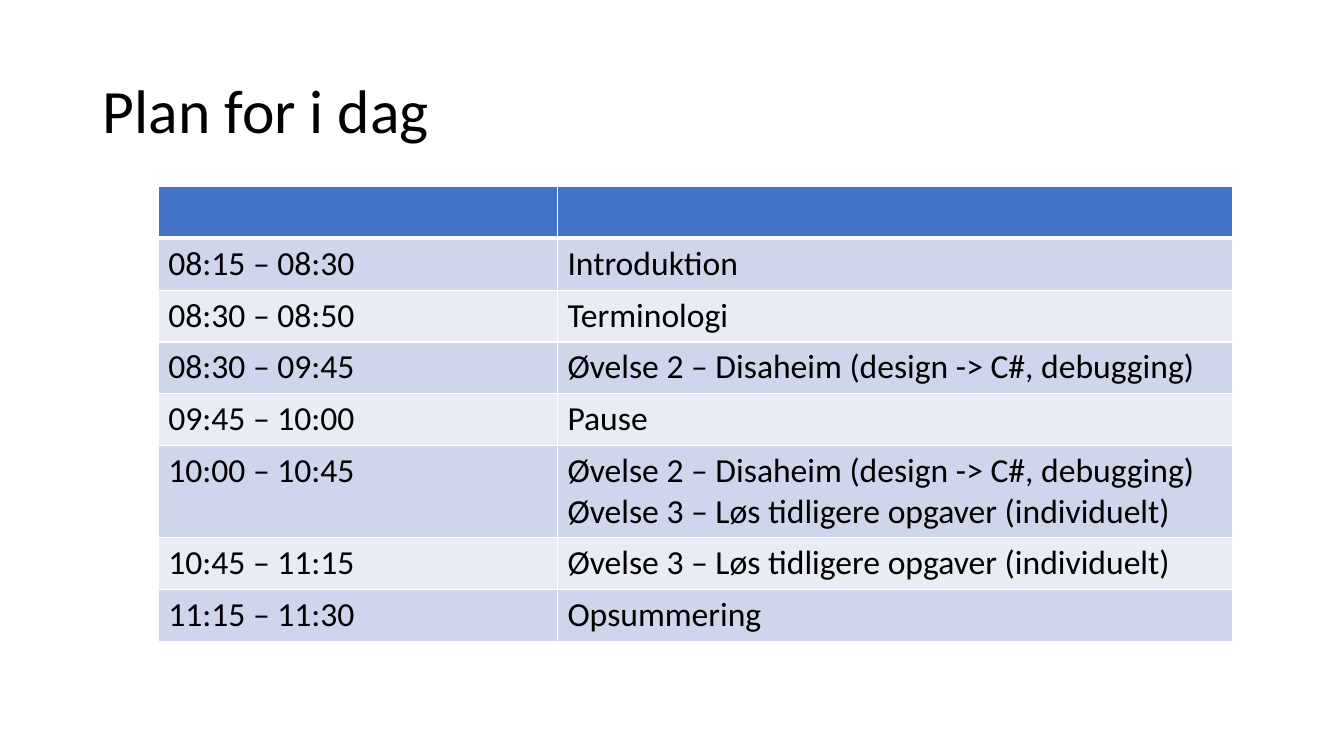
import pptx
import pptx.dml.color
import pptx.enum.text
import pptx.oxml
import pptx.oxml.ns
import pptx.util

TITLE_ONLY_LAYOUT = 5
COLUMN_SHARES = (29.7, 50.25)
TABLE_HEIGHT = 60.13
DOUBLE_ROW = 12.13
AGENDA = [
    ("", ""),
    ("08:15 – 08:30", "Introduktion"),
    ("08:30 – 08:50", "Terminologi"),
    ("08:30 – 09:45", "Øvelse 2 – Disaheim (design -> C#, debugging)"),
    ("09:45 – 10:00", "Pause"),
    ("10:00 – 10:45", "Øvelse 2 – Disaheim (design -> C#, debugging)\n"
                      "Øvelse 3 – Løs tidligere opgaver (individuelt)"),
    ("10:45 – 11:15", "Øvelse 3 – Løs tidligere opgaver (individuelt)"),
    ("11:15 – 11:30", "Opsummering"),
]


def color(value):
    return pptx.dml.color.RGBColor.from_string(value)


class AgendaSlide:
    """Holds the style and the slide; lengths are percentages of the slide size."""

    font_name = "Calibri"
    text_color = "000000"
    header_fill = "4472C4"
    band_fills = ("E9EBF5", "CFD5EA")
    border_color = "FFFFFF"

    def __init__(self, presentation):
        self.width = presentation.slide_width
        self.height = presentation.slide_height
        layout = presentation.slide_layouts[TITLE_ONLY_LAYOUT]
        self.slide = presentation.slides.add_slide(layout)

    def across(self, share):
        return round(self.width * share / 100)

    def down(self, share):
        return round(self.height * share / 100)

    def format_text(self, text_frame, size, **paragraph_format):
        font_format = {"name": self.font_name, "size": pptx.util.Pt(size), "bold": False}
        for paragraph in text_frame.paragraphs:
            for name, value in paragraph_format.items():
                setattr(paragraph, name, value)
            for run in paragraph.runs:
                for name, value in font_format.items():
                    setattr(run.font, name, value)
                run.font.color.rgb = color(self.text_color)

    def title(self, text, left, top, width, height):
        shape = self.slide.shapes.title
        position = {"left": self.across(left), "top": self.down(top),
                    "width": self.across(width), "height": self.down(height)}
        for name, value in position.items():
            setattr(shape, name, value)
        frame_format = {"text": text, "word_wrap": True,
                        "auto_size": pptx.enum.text.MSO_AUTO_SIZE.NONE,
                        "vertical_anchor": pptx.enum.text.MSO_ANCHOR.MIDDLE}
        for name, value in frame_format.items():
            setattr(shape.text_frame, name, value)
        self.format_text(shape.text_frame, 44, line_spacing=0.9,
                         alignment=pptx.enum.text.PP_ALIGN.LEFT)

    def cell_borders(self, cell, bottom_width):
        """Insert the border lines ahead of the fill, as the schema requires."""
        properties = cell._tc.get_or_add_tcPr()
        widths = {"lnL": 1, "lnR": 1, "lnT": 1, "lnB": bottom_width}
        for position, (tag, width) in enumerate(widths.items()):
            properties.insert(position, pptx.oxml.parse_xml(
                f'<a:{tag} {pptx.oxml.ns.nsdecls("a")} w="{pptx.util.Pt(width)}">'
                f'<a:solidFill><a:srgbClr val="{self.border_color}"/></a:solidFill>'
                f'</a:{tag}>'))

    def table(self, rows, left, top, column_shares, height, double_row):
        """Rows share the height equally, apart from those with two lines."""
        double_count = sum("\n" in activity for _, activity in rows)
        single_row = (height - double_count * double_row) / (len(rows) - double_count)
        table = self.slide.shapes.add_table(
            len(rows), len(column_shares), self.across(left), self.down(top),
            self.across(sum(column_shares)), self.down(height)).table
        for column, share in zip(table.columns, column_shares):
            column.width = self.across(share)
        for row_index, texts in enumerate(rows):
            row_share = double_row if "\n" in texts[1] else single_row
            table.rows[row_index].height = self.down(row_share)
            is_header = row_index == 0
            fill = self.header_fill if is_header else self.band_fills[row_index % 2]
            for column_index, text in enumerate(texts):
                cell = table.cell(row_index, column_index)
                cell.text = text
                cell.fill.solid()
                cell.fill.fore_color.rgb = color(fill)
                self.cell_borders(cell, bottom_width=3 if is_header else 1)
                self.format_text(cell.text_frame, 24)


def main():
    presentation = pptx.Presentation()
    presentation.slide_width = pptx.util.Inches(13.33)
    presentation.slide_height = pptx.util.Inches(7.5)
    agenda = AgendaSlide(presentation)
    agenda.title("Plan for i dag", left=6.9, top=5.33, width=86.25, height=19.33)
    agenda.table(AGENDA, left=11.78, top=24.67, column_shares=COLUMN_SHARES,
                 height=TABLE_HEIGHT, double_row=DOUBLE_ROW)
    presentation.save("out.pptx")


if __name__ == "__main__":
    main()
